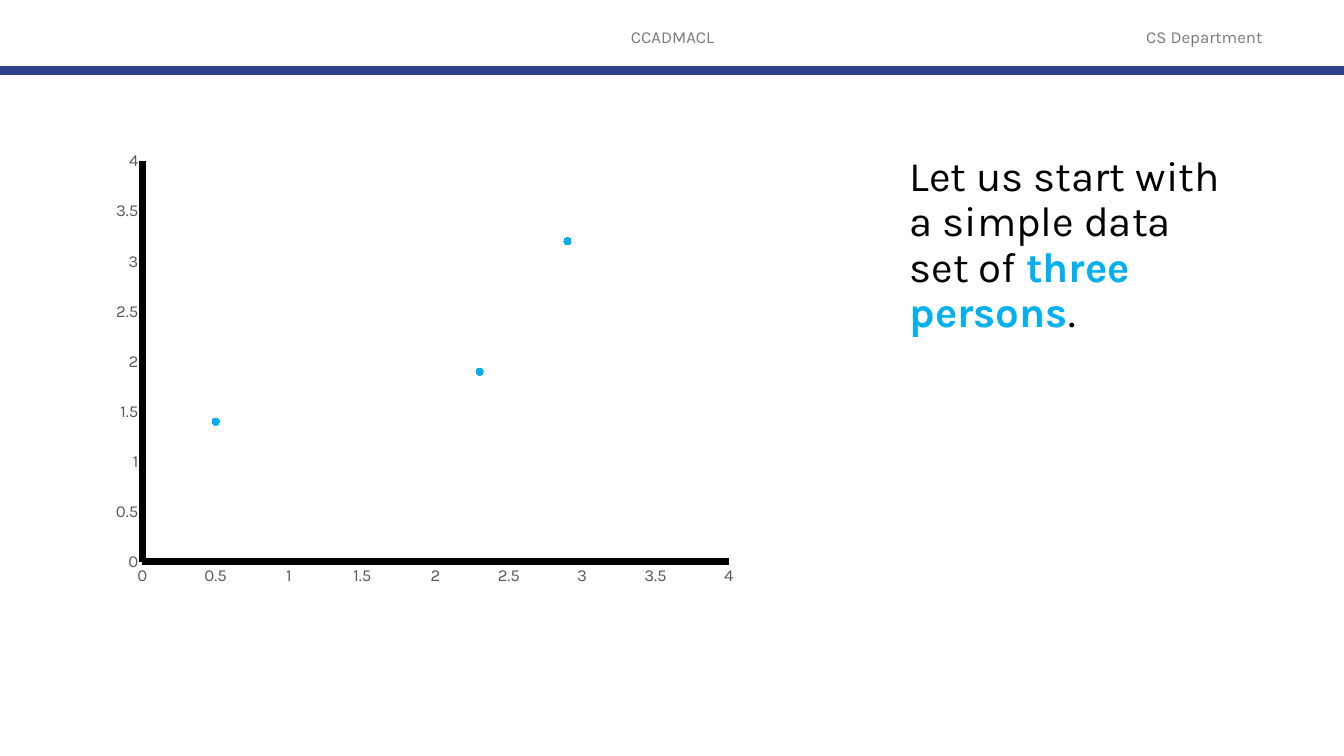
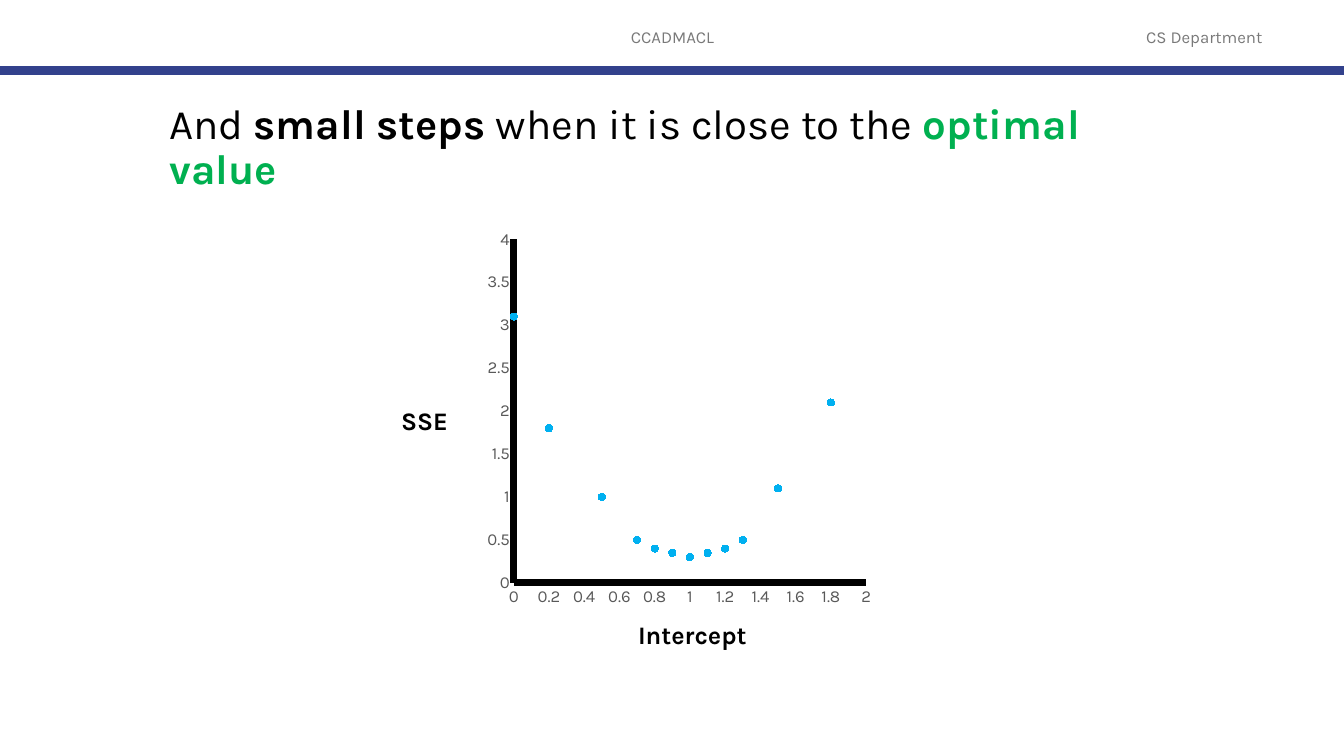
from lxml.etree import SubElement
from pptx import Presentation
from pptx.chart.data import XyChartData
from pptx.dml.color import RGBColor
from pptx.enum.chart import XL_CHART_TYPE as ChartType, XL_MARKER_STYLE as MarkerStyle
from pptx.enum.chart import XL_TICK_MARK as TickMark
from pptx.enum.shapes import MSO_CONNECTOR as Connector
from pptx.enum.text import MSO_ANCHOR as Anchor, MSO_AUTO_SIZE as AutoSize, PP_ALIGN as Align
from pptx.oxml import parse_xml
from pptx.oxml.ns import nsdecls, qn
from pptx.util import Inches, Pt

COLORS = {
    "text": "000000",
    "header": "797979",
    "rule": "32418C",
    "point": "00B0F0",
    "optimum": "00B050",
    "ticks": "595959",
}
FONT = "Karla"
WIDTH, HEIGHT = 13.33, 7.5
TITLE_ONLY = 5
GAP = (None, None)


def color(name):
    return RGBColor.from_string(COLORS[name])


def set_format(target, **values):
    for name, value in values.items():
        setattr(target, name, value)


def set_font(font, size, color_name="text", bold=False):
    set_format(font, name=FONT, size=Pt(size), bold=bold)
    font.color.rgb = color(color_name)


class Deck:
    """Holds the shared style and the current slide."""

    def __init__(self):
        self.presentation = Presentation()
        set_format(self.presentation, slide_width=Inches(WIDTH), slide_height=Inches(HEIGHT))
        self.slide = None

    def add_slide(self):
        layout = self.presentation.slide_layouts[TITLE_ONLY]
        self.slide = self.presentation.slides.add_slide(layout)
        # Header band
        header = {"size": 12, "color_name": "header", "align": Align.CENTER, "anchor": Anchor.MIDDLE}
        self.label("CCADMACL", (4.42, 0.17, 4.5, 0.4), **header)
        self.label("CS Department", (10.92, 0.17, 2.05, 0.4), **header)
        self.rule(0.7)

    def rule(self, top):
        line = self.slide.shapes.add_connector(
            Connector.STRAIGHT, 0, Inches(top), Inches(WIDTH), Inches(top))
        line.line.color.rgb = color("rule")
        line.line.width = Pt(6)
        SubElement(line.element.find(qn("p:spPr")), qn("a:effectLst"))

    def label(self, text, box, size=18, color_name="text", bold=False,
              align=Align.LEFT, anchor=Anchor.TOP):
        shape = self.slide.shapes.add_textbox(*map(Inches, box))
        set_format(shape.text_frame, word_wrap=True, vertical_anchor=anchor)
        paragraph = shape.text_frame.paragraphs[0]
        paragraph.alignment = align
        run = paragraph.add_run()
        run.text = text
        set_font(run.font, size, color_name, bold)

    def statement(self, box, runs):
        """Fill the title with (text, color name, bold) runs."""
        title = self.slide.shapes.title
        names = ("left", "top", "width", "height")
        set_format(title, **dict(zip(names, map(Inches, box))))
        set_format(title.text_frame, word_wrap=True, auto_size=AutoSize.NONE,
                   vertical_anchor=Anchor.TOP)
        paragraph = title.text_frame.paragraphs[0]
        set_format(paragraph, alignment=Align.LEFT, line_spacing=0.9, space_before=Pt(10))
        for text, color_name, bold in runs:
            run = paragraph.add_run()
            run.text = text
            set_font(run.font, 30, color_name, bold)

    def scatter(self, box, points, x_max, x_step, plot_area):
        data = XyChartData()
        point_series = data.add_series("Series 1")
        for x, y in points:
            point_series.add_data_point(x, y)
        chart = self.slide.shapes.add_chart(
            ChartType.XY_SCATTER, *map(Inches, box), data).chart
        self.clear_gaps(chart)
        set_format(chart, has_title=False, has_legend=False)
        set_font(chart.font, 10)
        chart.plots[0].vary_by_categories = False

        # Markers without a joining line
        series = chart.plots[0].series[0]
        series.smooth = False
        series.format.line.fill.background()
        set_format(series.marker, style=MarkerStyle.CIRCLE, size=5)
        for fill in (series.marker.format.fill, series.marker.format.line.fill):
            fill.solid()
            fill.fore_color.rgb = color("point")

        # Heavy axes
        for axis, maximum, step in ((chart.category_axis, x_max, x_step),
                                    (chart.value_axis, 4, 0.5)):
            set_format(axis, minimum_scale=0, maximum_scale=maximum, major_unit=step,
                       has_major_gridlines=False, has_title=False,
                       major_tick_mark=TickMark.NONE, minor_tick_mark=TickMark.NONE)
            set_format(axis.tick_labels, number_format="General", number_format_is_linked=False)
            set_font(axis.tick_labels.font, 12, "ticks")
            axis.format.line.color.rgb = color("text")
            axis.format.line.width = Pt(5)
        self.place_plot(chart, plot_area)

    def clear_gaps(self, chart):
        """Leave the cells of gaps empty in the chart's cached values."""
        for point in list(chart.element.iter(qn("c:pt"))):
            if point.find(qn("c:v")).text in (None, "", "None"):
                point.getparent().remove(point)

    def place_plot(self, chart, plot_area):
        """Fix the inner plot area as fractions of the chart."""
        element = chart.element.find(".//" + qn("c:plotArea"))
        for layout in element.findall(qn("c:layout")):
            element.remove(layout)
        modes = '<c:layoutTarget val="inner"/><c:xMode val="edge"/><c:yMode val="edge"/>'
        sizes = "".join(f'<c:{name} val="{value}"/>' for name, value in zip("xywh", plot_area))
        element.insert(0, parse_xml(
            f'<c:layout {nsdecls("c")}><c:manualLayout>{modes}{sizes}</c:manualLayout></c:layout>'))


def main():
    deck = Deck()

    # Data set of three persons
    deck.add_slide()
    deck.statement((8.92, 1.49, 3.48, 1.64), [
        ("Let us start with a simple data set of ", "text", False),
        ("three persons", "point", True),
        (".", "text", False),
    ])
    deck.scatter((1.15, 1.5, 6.14, 4.43), [(0.5, 1.4), (2.3, 1.9), (2.9, 3.2)],
                 x_max=4, x_step=0.5, plot_area=(0.04, 0.02, 0.95, 0.9))

    # Error against intercept
    deck.add_slide()
    deck.statement((1.58, 0.97, 10.18, 0.91), [
        ("And ", "text", False),
        ("small steps ", "text", True),
        ("when it is close to the ", "text", False),
        ("optimal value", "optimum", True),
    ])
    errors = [(0, 3.1), (0.2, 1.8), (0.5, 1), (0.7, 0.5), (0.8, 0.4), GAP,
              (0.9, 0.35), (1, 0.3), (1.1, 0.35), GAP,
              (1.2, 0.4), (1.3, 0.5), (1.5, 1.1), (1.8, 2.1)]
    deck.scatter((4.83, 2.26, 3.81, 3.79), errors,
                 x_max=2, x_step=0.2, plot_area=(0.07, 0.03, 0.92, 0.9))
    deck.label("Intercept", (6.23, 6.09, 1.35, 0.4), bold=True)
    deck.label("SSE", (3.88, 3.97, 0.96, 0.4), bold=True)

    deck.presentation.save("out.pptx")


if __name__ == "__main__":
    main()
